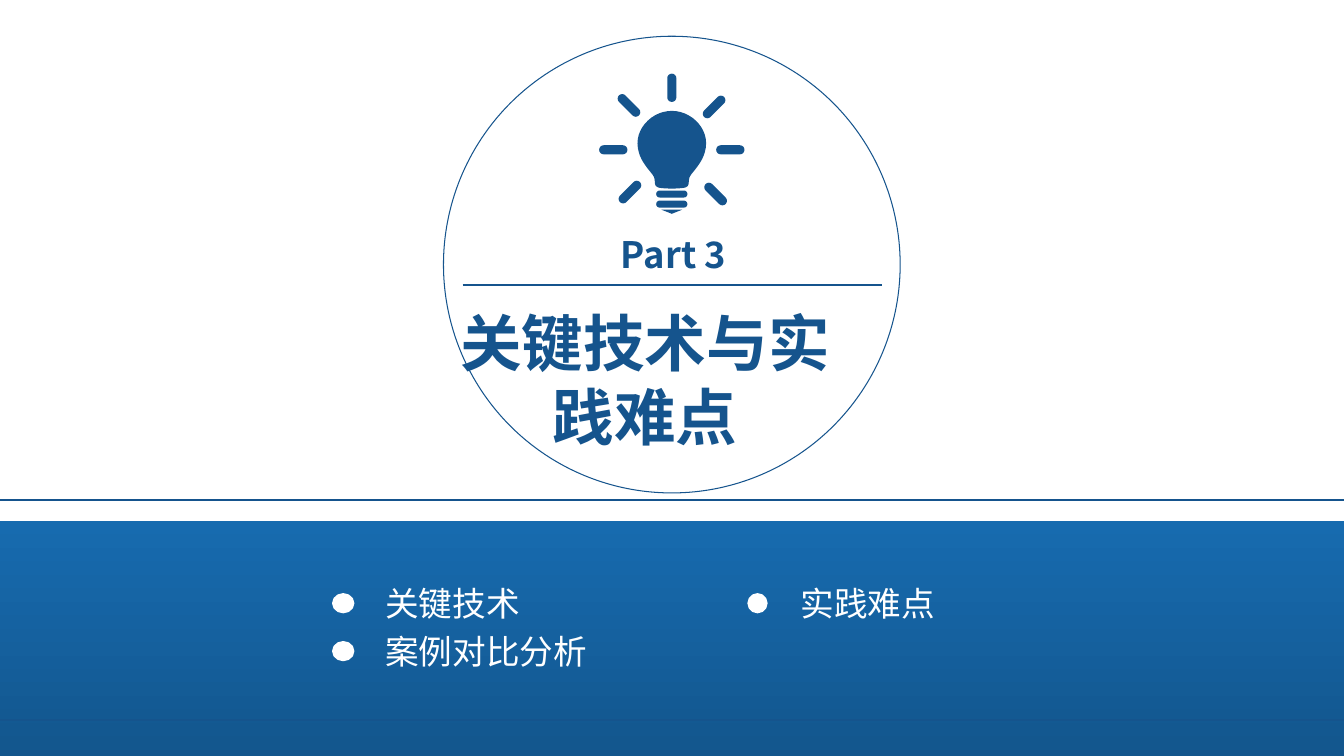
from math import cos, pi, radians, sin

from lxml.etree import SubElement
from pptx import Presentation
from pptx.dml.color import RGBColor
from pptx.enum.shapes import MSO_CONNECTOR, MSO_SHAPE
from pptx.enum.text import MSO_AUTO_SIZE, PP_ALIGN
from pptx.oxml.ns import qn
from pptx.util import Pt

FONT = "Noto Sans CJK SC"
COLORS = {"navy": "15548D", "white": "FFFFFF", "band_top": "176BAF", "band_bottom": "114F82"}


def color(name):
    return RGBColor.from_string(COLORS[name])


def add_shape(page, kind, box, fill=None, line=None, weight=1.0):
    shape = page.shapes.add_shape(kind, *map(Pt, box))
    shape.shadow.inherit = False
    if fill:
        shape.fill.solid()
        shape.fill.fore_color.rgb = color(fill)
    else:
        shape.fill.background()
    if line:
        shape.line.color.rgb = color(line)
        shape.line.width = Pt(weight)
    else:
        shape.line.fill.background()
    return shape


def add_text(page, box, lines, size, ink, bold=False, align=PP_ALIGN.LEFT, wrap=True):
    """Add one paragraph per (text, right indent) pair."""
    frame = page.shapes.add_textbox(*map(Pt, box)).text_frame
    frame.word_wrap = wrap
    frame.auto_size = MSO_AUTO_SIZE.SHAPE_TO_FIT_TEXT
    for index, (text, indent) in enumerate(lines):
        para = frame.add_paragraph() if index else frame.paragraphs[0]
        para.text = text
        para.alignment = align
        if indent:
            para._p.get_or_add_pPr().set("marR", str(Pt(indent)))
        font = para.font
        font.name, font.size, font.bold = FONT, Pt(size), bold
        font.color.rgb = color(ink)
        east_asian = SubElement(para._p.pPr.find(qn("a:defRPr")), qn("a:ea"))
        east_asian.set("typeface", FONT)
    return frame


def capsule(x, y, length, width, angle):
    """Outline of a round-ended bar centred on x, y."""
    turn, radius, reach = radians(angle), width / 2, (length - width) / 2
    points = []
    for side in (0, pi):
        end_x, end_y = x + reach * cos(turn + side), y + reach * sin(turn + side)
        for step in range(9):
            bend = turn + side - pi / 2 + step * pi / 8
            points.append((end_x + radius * cos(bend), end_y + radius * sin(bend)))
    return points


def glass(middle):
    """Outline of the bulb: one curved half and its mirror."""
    curves = [
        ((0, 26.6), (13, 26.6), (24.5, 37.4), (24.5, 49.7)),
        ((24.5, 49.7), (24.5, 62.6), (13.7, 70.6), (12.6, 74.2)),
        ((12.6, 74.2), (11.5, 78.5), (13, 80), (9.4, 81.4)),
        ((9.4, 81.4), (6.5, 82.1), (0, 82.1), (0, 82.1)),
    ]
    half = []
    for curve in curves:
        for step in range(12):
            t = step / 12
            weights = ((1 - t) ** 3, 3 * t * (1 - t) ** 2, 3 * t * t * (1 - t), t ** 3)
            half.append(tuple(sum(w * p[axis] for w, p in zip(weights, curve)) for axis in (0, 1)))
    half.append((0, 82.1))
    mirror = [(-x, y) for x, y in reversed(half)]
    return [(middle + x, y) for x, y in half + mirror]


def draw_bulb(page, left, top):
    middle = 52.2
    rays = [
        (middle, 10.1, 90), (10.4, 54.4, 0), (94, 54.4, 0),
        (82.4, 23.8, -45), (22.3, 84.6, -45), (21.6, 22.7, 45), (83.5, 86, 45),
    ]
    outlines = [capsule(x, y, 20.2, 6.5, angle) for x, y, angle in rays]
    outlines += [capsule(middle, y, 22.3, 5, 0) for y in (86, 93.2)]
    outlines.append([(middle - 7.4, 97.2), (middle + 7.4, 97.2), (middle, 100.1)])
    outlines.append(glass(middle))

    # Hundredths of a point keep the curves smooth
    outlines = [[(x * 100, y * 100) for x, y in outline] for outline in outlines]
    builder = page.shapes.build_freeform(*outlines[0][0], scale=Pt(1) / 100)
    for index, outline in enumerate(outlines):
        if index:
            builder.move_to(*outline[0])
        builder.add_line_segments(outline[1:], close=True)
    bulb = builder.convert_to_shape(Pt(left), Pt(top))
    bulb.shadow.inherit = False
    bulb.fill.solid()
    bulb.fill.fore_color.rgb = color("navy")
    bulb.line.fill.background()


def draw_band(page, left, top, width, height):
    band = add_shape(page, MSO_SHAPE.RECTANGLE, (left, top, width, height))
    band.fill.gradient()
    band.fill.gradient_angle = 270
    for stop, name in zip(band.fill.gradient_stops, ("band_top", "band_bottom")):
        stop.color.rgb = color(name)
    add_shape(page, MSO_SHAPE.RECTANGLE, (left, top - 15.1, width, 157), line="navy", weight=1.5)


def draw_badge(page, left, top, size):
    add_shape(page, MSO_SHAPE.OVAL, (left, top, size, size), line="navy", weight=0.75)

    # Rule between part number and title
    rule_y = top + 177.8
    rule = page.shapes.add_connector(
        MSO_CONNECTOR.STRAIGHT, Pt(left + 13.7), Pt(rule_y), Pt(left + 313.2), Pt(rule_y))
    rule.line.color.rgb = color("navy")
    rule.line.width = Pt(1)
    SubElement(rule._element.spPr, qn("a:effectLst"))

    # Title, first line shifted by one character
    add_text(page, (left + 2.9, top + 188.6, size, 113.8), [("关键技术与实", 44), ("践难点", 0)],
             44, "navy", bold=True, align=PP_ALIGN.CENTER)
    part = add_text(page, (left + 126.7, top + 139.7, 78.5, 31.7), [("Part 3", 0)],
                    26, "navy", bold=True, wrap=False)
    part.margin_left = part.margin_top = part.margin_right = part.margin_bottom = 0
    draw_bulb(page, left + 110.9, top + 26.7)


def draw_topics(page, left, top, width, dot_width, topics):
    for row, topic in enumerate(topics):
        y = top + row * 34.2
        add_shape(page, MSO_SHAPE.OVAL, (left, y + 12.2, dot_width, 12.2),
                  fill="white", line="white", weight=2.25)
        add_text(page, (left + 29.8, y, width, 36.7), [(topic, 0)], 24, "white")


def main():
    deck = Presentation()
    deck.slide_width, deck.slide_height = Pt(960), Pt(540)
    page = deck.slides.add_slide(deck.slide_layouts[6])
    draw_band(page, -35.3, 372.2, 1030.3, 221)
    draw_badge(page, 316.8, 25.9, 326.2)
    draw_topics(page, 238.3, 412.6, 225.4, 13.7, ["关键技术", "案例对比分析"])
    draw_topics(page, 535, 412.6, 209.5, 12.2, ["实践难点"])
    deck.save("out.pptx")


if __name__ == "__main__":
    main()
